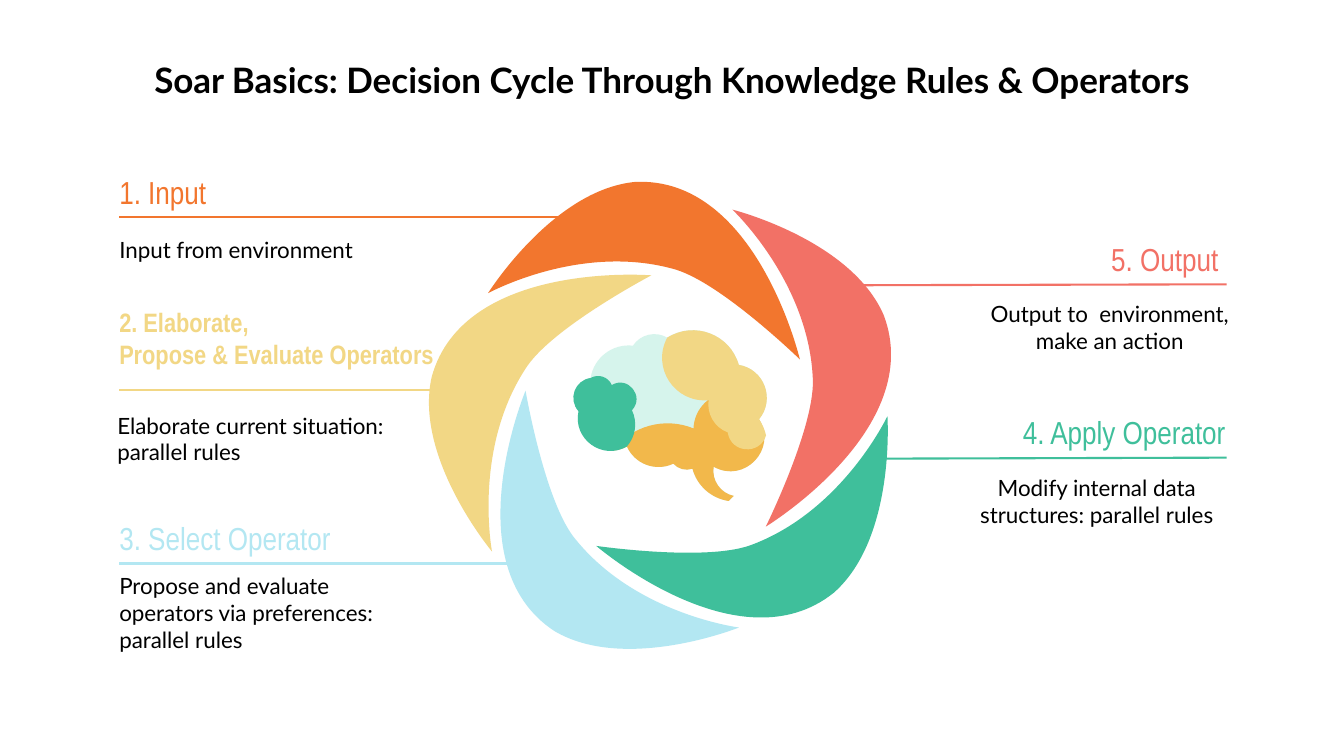
from collections import namedtuple
from math import cos, radians, sin

from lxml import etree
from pptx import Presentation
from pptx.dml.color import RGBColor
from pptx.enum.shapes import MSO_CONNECTOR
from pptx.enum.text import MSO_ANCHOR, PP_ALIGN
from pptx.oxml.ns import qn
from pptx.util import Pt

LEFT, CENTER, RIGHT = PP_ALIGN.LEFT, PP_ALIGN.CENTER, PP_ALIGN.RIGHT
TOP, MIDDLE = MSO_ANCHOR.TOP, MSO_ANCHOR.MIDDLE
STRAIGHT = MSO_CONNECTOR.STRAIGHT

BLACK, ORANGE, SAND, SKY = "000000", "F2762E", "F2D785", "B3E7F2"
GREEN, CORAL, AMBER, MINT = "3FBF9B", "F27166", "F2B84B", "ACEAD9"

HEADLINE = "Soar Basics: Decision Cycle Through Knowledge Rules & Operators"

Step = namedtuple("Step", "heading detail color heading_top detail_left detail_top "
                          "rule_end rule_top")
LEFT_STEPS = [
    Step("3. Select Operator", "Propose and evaluate operators via preferences: parallel rules",
         SKY, 361.4, 75.6, 409.7, 401.8, 402.5),
    Step("1. Input", "Input from environment",
         ORANGE, 114.5, 75.6, 150.5, 401.8, 154.8),
    Step("2. Elaborate,\nPropose & Evaluate Operators",
         "Elaborate current situation: parallel rules",
         SAND, 218.9, 74.2, 285.1, 339.8, 278.6),
]
RIGHT_STEPS = [
    Step("5. Output ", "Output to  environment, make an action",
         CORAL, 162, 685.4, 205.2, 596.2, 203.8),
    Step("4. Apply Operator", "Modify internal data structures: parallel rules",
         GREEN, 285.8, 676.1, 329.8, 630, 327.6),
]

Column = namedtuple("Column", "steps heading_left rule_start rule_rise "
                              "heading_align detail_align")
COLUMNS = [
    Column(LEFT_STEPS, 75.6, 85, 0, LEFT, LEFT),
    Column(RIGHT_STEPS, 670.3, 876.2, 0.7, RIGHT, CENTER),
]
SLIDE_WIDTH, SLIDE_HEIGHT = 960, 540
HEADLINE_BOX = (18.7, 32.4, 922.3, 60.5)
BOX_WIDTH, LONG_BOX_WIDTH = 214.6, 247.7
HEADING_HEIGHT, DETAIL_HEIGHT = 45.4, 56.2
HEADING_SIZE, LONG_HEADING_SIZE, DETAIL_SIZE = 22.7, 19, 16
INSET = 9.6

DRAWING_UNIT = Pt(0.72)

PETAL_COLORS = [SAND, ORANGE, CORAL, GREEN, SKY]
PETAL_TURN = 360 / len(PETAL_COLORS)
RING_CENTER = complex(662.5, 416.3)
# each petal point is (radius, angle) around the ring center
TAIL, HEAD = (218, -144.9), (144, -24.5)
CREST, CREST_TAILWARD, CREST_HEADWARD = (238, -97.8), (255, -116.5), (257, -70)
BEND, BEND_TAILWARD, BEND_HEADWARD = (149, -86.9), (196, -116), (145, -68)
PETAL = [TAIL, TAIL, CREST_TAILWARD, CREST, CREST_HEADWARD, HEAD, HEAD,
         HEAD, BEND_HEADWARD, BEND, BEND_TAILWARD, TAIL, TAIL]

# each arc is (end x, end y, bulge): bulge 1 is a half circle, negative curves inward
FOREHEAD_ARCS = [(628, 343, 0.4), (586, 375, 0.4)]
CEREBELLUM_ARCS = [(574, 408, 0.6), (622, 443, 0.65)]
STEM_ARCS = [(668, 460, 0.42), (687, 465, 0.3), (723, 497, 0.3), (728, 492, 0),
             (708, 463, -0.4), (753, 416, 0.78)]
CROWN_ARCS = [(733, 362, 0.58), (662, 335, 0.5)]
BASE_TOP_ARCS = [(725, 389, 0.2), (688, 425, 0.4), (608, 447, 0.34), (622, 443, 0.1)]
LOBE_FOLD_ARCS = [(703, 397, 0.6), (722, 429, 0.35), (760, 432, 0.8), (753, 416, 0.1)]
CEREBELLUM_FOLD_ARCS = [(627, 407, 0.3), (607, 382, 0.87), (586, 375, 0.45)]

BRAIN_PARTS = [
    (MINT, 49, FOREHEAD_ARCS + CEREBELLUM_ARCS + STEM_ARCS + CROWN_ARCS),
    (AMBER, 100, STEM_ARCS + BASE_TOP_ARCS),
    (SAND, 100, CROWN_ARCS + LOBE_FOLD_ARCS),
    (GREEN, 100, CEREBELLUM_ARCS + CEREBELLUM_FOLD_ARCS),
]


def paint(color_format, color):
    color_format.rgb = RGBColor.from_string(color)


def add_text(slide, text, box, size, font, color, align, anchor=MIDDLE, bold=False):
    label = slide.shapes.add_textbox(*map(Pt, box))
    frame = label.text_frame
    frame.word_wrap = True
    frame.vertical_anchor = anchor
    frame.margin_left = frame.margin_right = frame.margin_top = frame.margin_bottom = Pt(INSET)
    frame.text = text
    for paragraph in frame.paragraphs:
        paragraph.alignment = align
        for run in paragraph.runs:
            run.font.size, run.font.name, run.font.bold = Pt(size), font, bold
            paint(run.font.color, color)


def add_rule(slide, ends, color):
    rule = slide.shapes.add_connector(STRAIGHT, *map(Pt, ends))
    rule.line.width = Pt(1.5)
    paint(rule.line.color, color)
    etree.SubElement(rule.element.spPr, qn("a:effectLst"))


def add_step(slide, step, column):
    is_long = "\n" in step.heading
    width = LONG_BOX_WIDTH if is_long else BOX_WIDTH
    size = LONG_HEADING_SIZE if is_long else HEADING_SIZE
    add_text(slide, step.heading, (column.heading_left, step.heading_top, width, HEADING_HEIGHT),
             size, "Arial Narrow", step.color, column.heading_align, bold=is_long)
    add_text(slide, step.detail, (step.detail_left, step.detail_top, BOX_WIDTH, DETAIL_HEIGHT),
             DETAIL_SIZE, "Lato", BLACK, column.detail_align)
    add_rule(slide, (step.rule_end, step.rule_top,
                     column.rule_start, step.rule_top - column.rule_rise), step.color)


def petal_curves(turn):
    return [RING_CENTER + radius * complex(cos(radians(angle + turn)), sin(radians(angle + turn)))
            for radius, angle in PETAL]


def arc_curves(arcs):
    start = complex(*arcs[-1][:2])
    points = [start]
    for x, y, bulge in arcs:
        end = complex(x, y)
        third = (end - start) / 3
        points += [start + third * complex(1, bulge) ** 2,
                   end - third * complex(1, -bulge) ** 2, end]
        start = end
    return points


def add_curved_shape(group, points, color, opacity=100):
    corners = [(round(p.real * DRAWING_UNIT), round(p.imag * DRAWING_UNIT)) for p in points]
    builder = group.shapes.build_freeform(*corners[0])
    builder.add_line_segments(corners[1:], close=True)
    curved = builder.convert_to_shape()
    curved.shadow.inherit = False
    curved.line.fill.background()
    curved.fill.solid()
    paint(curved.fill.fore_color, color)
    if opacity < 100:
        tint = curved.element.spPr.find(qn("a:solidFill"))[0]
        etree.SubElement(tint, qn("a:alpha")).set("val", str(opacity * 1000))
    outline = curved.element.find(".//" + qn("a:path"))
    segments = outline.findall(qn("a:lnTo"))
    for first in range(0, len(segments), 3):
        curve = etree.Element(qn("a:cubicBezTo"))
        segments[first].addprevious(curve)
        for segment in segments[first:first + 3]:
            curve.append(segment[0])
            outline.remove(segment)


def main():
    deck = Presentation()
    deck.slide_width, deck.slide_height = Pt(SLIDE_WIDTH), Pt(SLIDE_HEIGHT)
    slide = deck.slides.add_slide(deck.slide_layouts[6])
    add_text(slide, HEADLINE, HEADLINE_BOX, 25, "Lato", BLACK, CENTER, TOP, True)

    ring = slide.shapes.add_group_shape()
    for position, color in enumerate(PETAL_COLORS):
        add_curved_shape(ring, petal_curves((position - 1) * PETAL_TURN), color)

    for column in COLUMNS:
        for step in column.steps:
            add_step(slide, step, column)

    brain = slide.shapes.add_group_shape()
    for color, opacity, arcs in BRAIN_PARTS:
        add_curved_shape(brain, arc_curves(arcs), color, opacity)

    deck.save("out.pptx")


if __name__ == "__main__":
    main()
